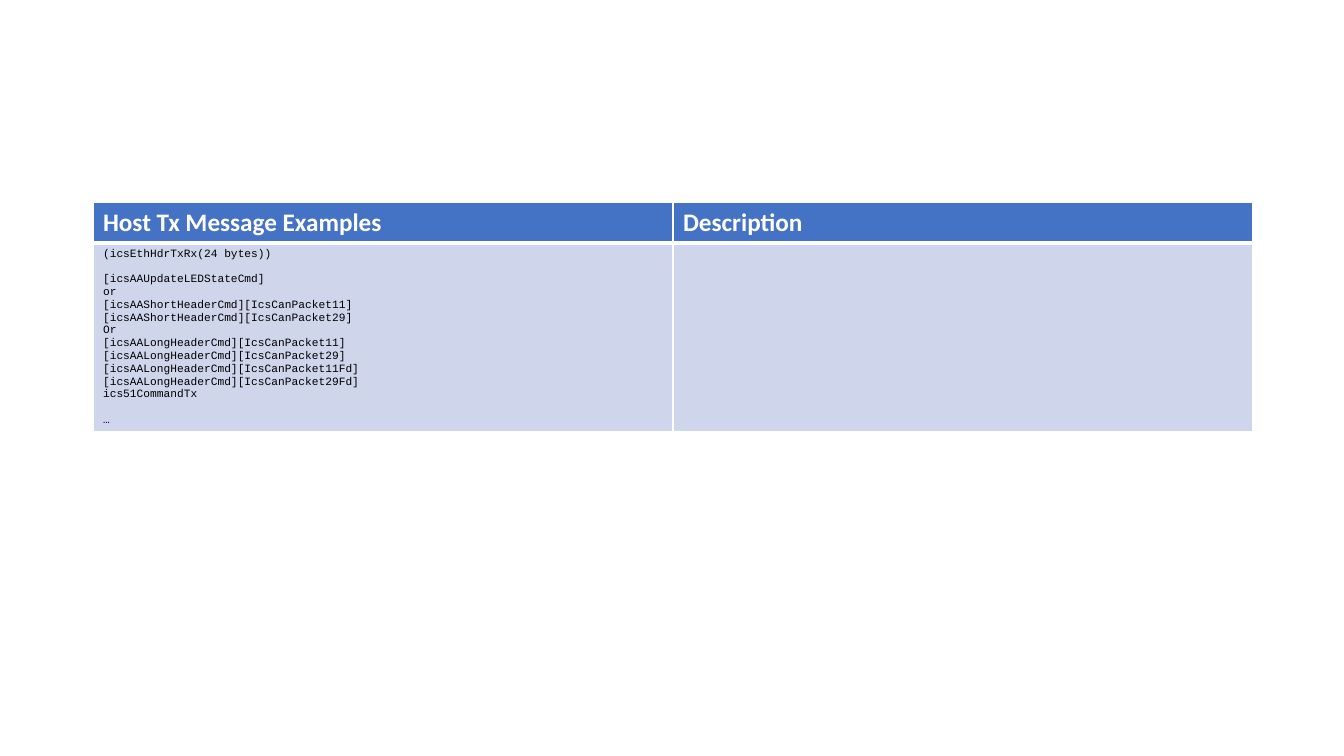
from lxml.etree import SubElement
from pptx import Presentation
from pptx.dml.color import RGBColor
from pptx.oxml.ns import qn
from pptx.util import Emu, Pt

WHITE = RGBColor(0xFF, 0xFF, 0xFF)
BLACK = RGBColor(0x00, 0x00, 0x00)
HEADER_BLUE = RGBColor(0x44, 0x72, 0xC4)
BODY_BLUE = RGBColor(0xCF, 0xD5, 0xEA)

HEADINGS = ["Host Tx Message Examples", "Description"]
# Each group of lines is set apart by one line of space.
MESSAGE_GROUPS = [
    ["(icsEthHdrTxRx(24 bytes))"],
    [
        "[icsAAUpdateLEDStateCmd]",
        "or",
        "[icsAAShortHeaderCmd][IcsCanPacket11]",
        "[icsAAShortHeaderCmd][IcsCanPacket29]",
        "Or",
        "[icsAALongHeaderCmd][IcsCanPacket11]",
        "[icsAALongHeaderCmd][IcsCanPacket29]",
        "[icsAALongHeaderCmd][IcsCanPacket11Fd]",
        "[icsAALongHeaderCmd][IcsCanPacket29Fd]",
        "ics51CommandTx",
    ],
    ["…"],
]


def px(length):
    return Emu(round(length * 914400 / 100.8))


class SlideBuilder:
    heading_font = "Calibri"
    heading_size = Pt(18)
    code_font = "Courier New"
    code_size = Pt(8)
    group_gap = Pt(9)

    def __init__(self, presentation):
        self.slide = presentation.slides.add_slide(presentation.slide_layouts[6])

    def add_table(self, left, top, column_widths, row_heights):
        frame = self.slide.shapes.add_table(
            len(row_heights), len(column_widths), px(left), px(top),
            px(sum(column_widths)), px(sum(row_heights)))
        table = frame.table
        table.horz_banding = False
        for column, width in zip(table.columns, column_widths):
            column.width = px(width)
        for row, height in zip(table.rows, row_heights):
            row.height = px(height)
        return table

    def style_cell(self, cell, fill, top=1, bottom=1):
        """Fill the cell and draw its white borders; widths are in points."""
        properties = cell._tc.get_or_add_tcPr()
        for side, width in (("L", 1), ("R", 1), ("T", top), ("B", bottom)):
            line = SubElement(properties, qn(f"a:ln{side}"), w=str(Pt(width)))
            solid = SubElement(line, qn("a:solidFill"))
            SubElement(solid, qn("a:srgbClr"), val=str(WHITE))
        cell.fill.solid()
        cell.fill.fore_color.rgb = fill

    def add_run(self, paragraph, text, font, size, color, bold=False):
        run = paragraph.add_run()
        run.text = text
        run.font.name = font
        run.font.size = size
        run.font.color.rgb = color
        run.font.bold = bold

    def write_heading(self, cell, text):
        self.add_run(cell.text_frame.paragraphs[0], text, self.heading_font,
                     self.heading_size, WHITE, bold=True)

    def write_code(self, cell, groups):
        paragraph = None
        for group in groups:
            for index, text in enumerate(group):
                if paragraph is None:
                    paragraph = cell.text_frame.paragraphs[0]
                else:
                    paragraph = cell.text_frame.add_paragraph()
                    paragraph.space_before = self.group_gap if index == 0 else Pt(0)
                self.add_run(paragraph, text, self.code_font, self.code_size, BLACK)


def main():
    presentation = Presentation()
    presentation.slide_width = px(1344)
    presentation.slide_height = px(756)

    builder = SlideBuilder(presentation)
    table = builder.add_table(93, 202, [580, 580], [41, 188])
    for column, heading in enumerate(HEADINGS):
        header_cell = table.cell(0, column)
        builder.style_cell(header_cell, HEADER_BLUE, bottom=3)
        builder.write_heading(header_cell, heading)
        builder.style_cell(table.cell(1, column), BODY_BLUE, top=3)
    builder.write_code(table.cell(1, 0), MESSAGE_GROUPS)

    presentation.save("out.pptx")


if __name__ == "__main__":
    main()
